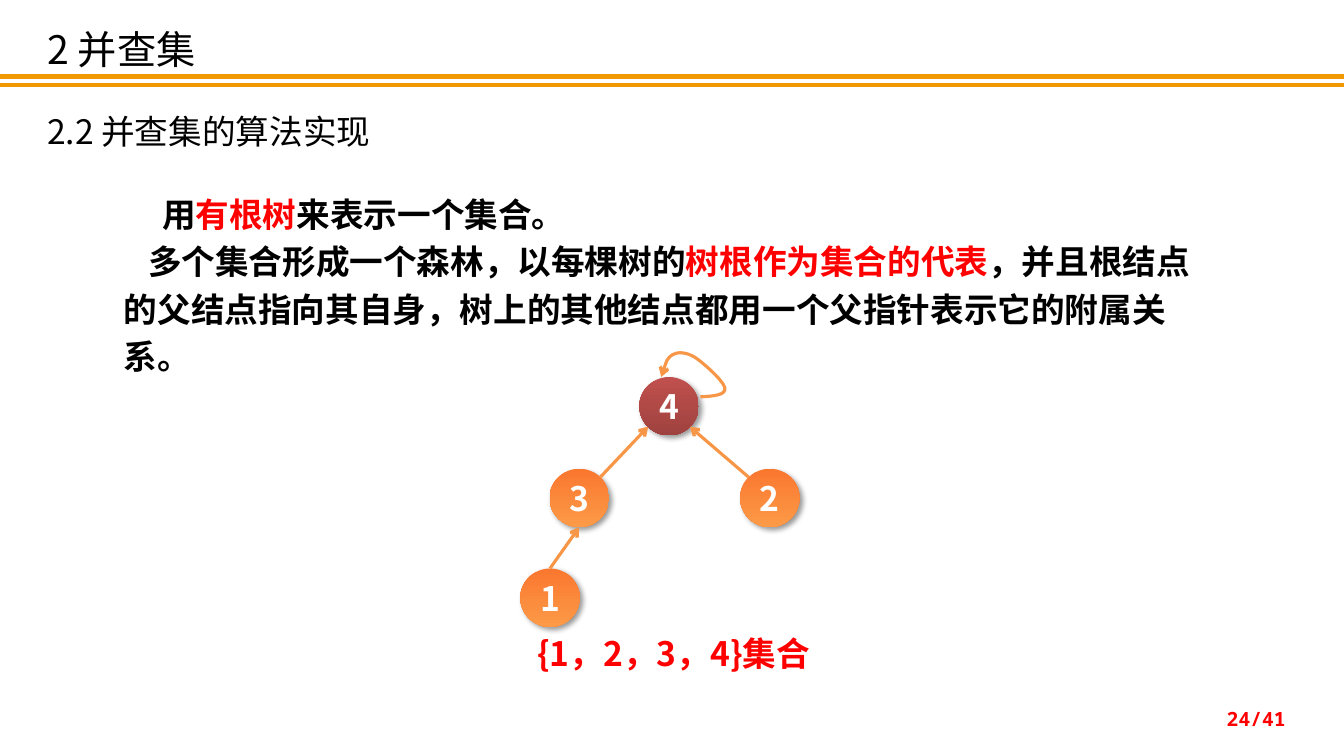
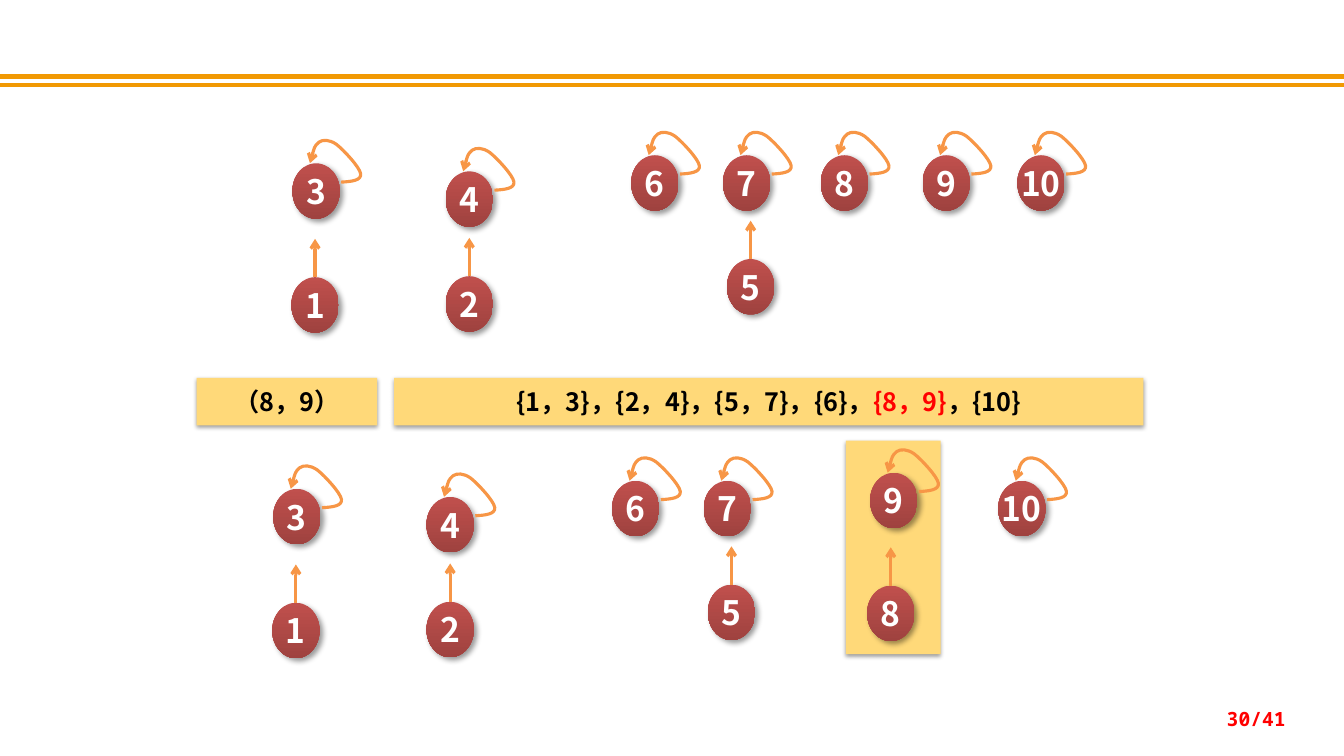
"""Build two slides on disjoint sets: rooted trees, and a merge of 8 and 9."""
from lxml import etree
from pptx import Presentation
from pptx.dml.color import RGBColor
from pptx.enum.shapes import MSO_CONNECTOR, MSO_SHAPE
from pptx.enum.text import MSO_ANCHOR, MSO_AUTO_SIZE, PP_ALIGN
from pptx.oxml.ns import qn
from pptx.util import Inches, Pt

STRAIGHT = MSO_CONNECTOR.STRAIGHT
OVAL, RECTANGLE = MSO_SHAPE.OVAL, MSO_SHAPE.RECTANGLE
TOP, MIDDLE = MSO_ANCHOR.TOP, MSO_ANCHOR.MIDDLE
LEFT, CENTER, RIGHT = PP_ALIGN.LEFT, PP_ALIGN.CENTER, PP_ALIGN.RIGHT

SANS, MONO = "Noto Sans CJK SC", "Noto Sans Mono"
COLORS = {
    "band": "F19903", "arrow": "F79646", "panel": "FFD979",
    "text": "000000", "accent": "FF0000", "node_text": "FFFFFF", "shadow": "000000",
    "root": "C0504D", "child_top": "FA772E", "child_bottom": "FC9A48",
}
NODE_GRADIENTS = {
    "root": [("root", 100), ("root", 65)],
    "child": [("child_top", 100), ("child_bottom", 100)],
}
NODE_SHADOW = {"alpha": 40, "blur": 4, "distance": 3, "angle": 45}
PANEL_SHADOW = {"alpha": 38, "blur": 3.1, "distance": 1.6, "angle": 90}

SLIDE_WIDTH, SLIDE_HEIGHT = 13.33, 7.5
BAND_TOPS = (0.76, 0.84)
PAGE_COUNT = 41

TITLE = "2 并查集"
SUBTITLE = "2.2 并查集的算法实现"
EXPLANATION = [
    (0.38, [("用", "text"), ("有根树", "accent"), ("来表示一个集合。", "text")]),
    (0.24, [
        ("多个集合形成一个森林，以每棵树的", "text"),
        ("树根作为集合的代表", "accent"),
        ("，并且根结点的父结点指向其自身，树上的其他结点都用一个父指针表示它的附属关系。", "text"),
    ]),
]
TREE_SIZE = (0.59, 0.58)
TREE_NODES = {
    "4": (6.34, 3.74, "root"),
    "3": (5.45, 4.65, "child"),
    "2": (7.34, 4.65, "child"),
    "1": (5.16, 5.64, "child"),
}
NEAR, FAR = 0.15, 0.85
TREE_EDGES = [
    ("3", (FAR, NEAR), "4", (NEAR, FAR)),
    ("2", (NEAR, NEAR), "4", (FAR, FAR)),
    ("1", (0.5, 0), "3", (0.5, 1)),
]
TREE_CAPTION = "{1，2，3，4}集合"

FOREST_SIZE = (0.47, 0.55)
PARENT_ARROW = 0.38
KEPT_ROOTS = [("3", 2.9, 1.62), ("4", 4.42, 1.7), ("6", 6.26, 1.54),
              ("7", 7.17, 1.54), ("10", 10.09, 1.54)]
KEPT_CHILDREN = [("1", 2.89, 2.75), ("2", 4.42, 2.74), ("5", 7.21, 2.57)]
SEPARATE_ROOTS = [("8", 8.14, 1.54), ("9", 9.15, 1.54)]
MERGED_ROOTS = [("9", 8.63, 4.69)]
MERGED_CHILDREN = [("8", 8.6, 5.81)]
MERGED_SHIFT = (-0.19, 3.23)
MERGED_PANEL = (8.39, 4.37, 0.94, 2.12)
SET_PANELS = [
    ((1.95, 3.75, 1.79, 0.47), [("（8，9）", "text")]),
    ((3.91, 3.75, 7.43, 0.47), [
        ("{1，3}，{2，4}，{5，7}，{6}，", "text"), ("{8，9}", "accent"), ("，{10}", "text"),
    ]),
]

LOOP_START = (1.03, 0.34)
LOOP_CURVES = [
    ((1.25, 0.33), (1.46, 0.31), (1.44, 0.19)),
    ((1.42, 0.07), (1.08, -0.24), (0.93, -0.34)),
    ((0.78, -0.43), (0.64, -0.43), (0.56, -0.38)),
    ((0.46, -0.31), (0.42, -0.16), (0.37, 0)),
]


def rgb(name):
    return RGBColor.from_string(COLORS[name])


def inches(values):
    return [Inches(value) for value in values]


def write_runs(paragraph, runs, size, bold=False, font=SANS, align=LEFT):
    paragraph.alignment = align
    for text, color in runs:
        run = paragraph.add_run()
        run.text = text
        run.font.name, run.font.size, run.font.bold = font, Pt(size), bold
        run.font.color.rgb = rgb(color)
        east_asian = etree.SubElement(run.font._element, qn("a:ea"))
        east_asian.set("typeface", font)


def add_label(slide, box, runs, size, anchor=TOP, **style):
    frame = slide.shapes.add_textbox(*inches(box)).text_frame
    frame.word_wrap = True
    frame.vertical_anchor = anchor
    write_runs(frame.paragraphs[0], runs, size, **style)


def cast_shadow(shape, alpha, blur, distance, angle):
    shape.shadow.inherit = False
    effects = shape._element.spPr.find(qn("a:effectLst"))
    outer = etree.SubElement(effects, qn("a:outerShdw"), blurRad=str(Pt(blur)),
                             dist=str(Pt(distance)), dir=str(angle * 60000), rotWithShape="0")
    color = etree.SubElement(outer, qn("a:srgbClr"), val=COLORS["shadow"])
    etree.SubElement(color, qn("a:alpha"), val=str(alpha * 1000))


def style_line(line, color, width, arrow=False):
    line.color.rgb = rgb(color)
    line.width = Pt(width)
    if arrow:
        etree.SubElement(line._get_or_add_ln(), qn("a:tailEnd"), type="arrow")


def add_line(slide, start, end, color, width, arrow=False):
    connector = slide.shapes.add_connector(STRAIGHT, *inches((*start, *end)))
    style_line(connector.line, color, width, arrow)
    etree.SubElement(connector._element.spPr, qn("a:effectLst"))


def add_arrow(slide, start, end):
    add_line(slide, start, end, "arrow", 2.25, arrow=True)


def add_panel(slide, box, runs=()):
    panel = slide.shapes.add_shape(RECTANGLE, *inches(box))
    panel.fill.solid()
    panel.fill.fore_color.rgb = rgb("panel")
    panel.line.fill.background()
    cast_shadow(panel, **PANEL_SHADOW)
    panel.text_frame.vertical_anchor = MIDDLE
    write_runs(panel.text_frame.paragraphs[0], runs, 18, bold=True, align=CENTER)


def add_node(slide, label, corner, size, role):
    node = slide.shapes.add_shape(OVAL, *inches((*corner, *size)))
    node.fill.gradient()
    node.fill.gradient_angle = 270
    for stop, (color, shade) in zip(node.fill.gradient_stops, NODE_GRADIENTS[role]):
        stop.color.rgb = rgb(color)
        if shade < 100:
            etree.SubElement(stop._gs.find(qn("a:srgbClr")), qn("a:shade"),
                             val=str(shade * 1000))
    node.line.fill.background()
    cast_shadow(node, **NODE_SHADOW)
    frame = node.text_frame
    frame.word_wrap = False
    frame.vertical_anchor = MIDDLE
    write_runs(frame.paragraphs[0], [(label, "node_text")], 24, bold=True, align=CENTER)


def place(corner, size, fraction):
    return tuple(c + s * f for c, s, f in zip(corner, size, fraction))


def curve_segments(freeform):
    segments = list(freeform._element.iter(qn("a:lnTo")))
    for first in range(0, len(segments), 3):
        curve = etree.Element(qn("a:cubicBezTo"))
        segments[first].addprevious(curve)
        for segment in segments[first:first + 3]:
            curve.append(segment[0])
            segment.getparent().remove(segment)


def add_self_loop(slide, corner, size):
    builder = slide.shapes.build_freeform(*inches(place(corner, size, LOOP_START)))
    builder.add_line_segments(
        [inches(place(corner, size, point)) for curve in LOOP_CURVES for point in curve],
        close=False)
    loop = builder.convert_to_shape()
    curve_segments(loop)
    loop.fill.background()
    style_line(loop.line, "arrow", 2.25, arrow=True)
    loop.shadow.inherit = False


def add_forest(slide, roots, children, shift=(0, 0)):
    for label, x, y in children:
        corner = (x + shift[0], y + shift[1])
        add_node(slide, label, corner, FOREST_SIZE, "root")
        top = place(corner, FOREST_SIZE, (0.5, 0))
        add_arrow(slide, top, (top[0], top[1] - PARENT_ARROW))
    for label, x, y in roots:
        corner = (x + shift[0], y + shift[1])
        add_node(slide, label, corner, FOREST_SIZE, "root")
        add_self_loop(slide, corner, FOREST_SIZE)


def new_slide(deck, layout_name, page):
    slide = deck.slides.add_slide(deck.slide_layouts.get_by_name(layout_name))
    for top in BAND_TOPS:
        add_line(slide, (0, top), (SLIDE_WIDTH, top), "band", 3)
    add_label(slide, (9.74, 6.93, 3.11, 0.4), [(f"{page}/{PAGE_COUNT}", "accent")], 14,
              anchor=MIDDLE, bold=True, font=MONO, align=RIGHT)
    return slide


def set_title(slide, text):
    title = slide.shapes.title
    title.left, title.top, title.width, title.height = inches((0.37, 0.2, 7.62, 0.57))
    frame = title.text_frame
    frame.auto_size = MSO_AUTO_SIZE.NONE
    frame.vertical_anchor = TOP
    write_runs(frame.paragraphs[0], [(text, "text")], 28)


def add_explanation(slide):
    frame = slide.shapes.add_textbox(*inches((1.13, 1.8, 11.08, 1.53))).text_frame
    frame.word_wrap = True
    frame.margin_right = Inches(0.36)
    for index, (indent, runs) in enumerate(EXPLANATION):
        paragraph = frame.add_paragraph() if index else frame.paragraphs[0]
        paragraph.line_spacing = Pt(34)
        paragraph._p.get_or_add_pPr().set("indent", str(Inches(indent)))
        write_runs(paragraph, runs, 24, bold=True)


def build_tree_slide(deck):
    slide = new_slide(deck, "Title Only", 24)
    set_title(slide, TITLE)
    add_label(slide, (0.37, 1.05, 4.77, 0.5), [(SUBTITLE, "text")], 24)
    add_explanation(slide)
    for label, (x, y, role) in TREE_NODES.items():
        add_node(slide, label, (x, y), TREE_SIZE, role)
        if role == "root":
            add_self_loop(slide, (x, y), TREE_SIZE)
    for child, leave, parent, arrive in TREE_EDGES:
        add_arrow(slide, place(TREE_NODES[child][:2], TREE_SIZE, leave),
                  place(TREE_NODES[parent][:2], TREE_SIZE, arrive))
    add_label(slide, (5.23, 6.23, 3.47, 0.5), [(TREE_CAPTION, "accent")], 24, bold=True)


def build_merge_slide(deck):
    slide = new_slide(deck, "Blank", 30)
    for box, runs in SET_PANELS:
        add_panel(slide, box, runs)
    add_forest(slide, KEPT_ROOTS + SEPARATE_ROOTS, KEPT_CHILDREN)
    add_forest(slide, KEPT_ROOTS, KEPT_CHILDREN, MERGED_SHIFT)
    add_panel(slide, MERGED_PANEL)
    add_forest(slide, MERGED_ROOTS, MERGED_CHILDREN)


def main():
    deck = Presentation()
    deck.slide_width, deck.slide_height = inches((SLIDE_WIDTH, SLIDE_HEIGHT))
    build_tree_slide(deck)
    build_merge_slide(deck)
    deck.save("out.pptx")


if __name__ == "__main__":
    main()
